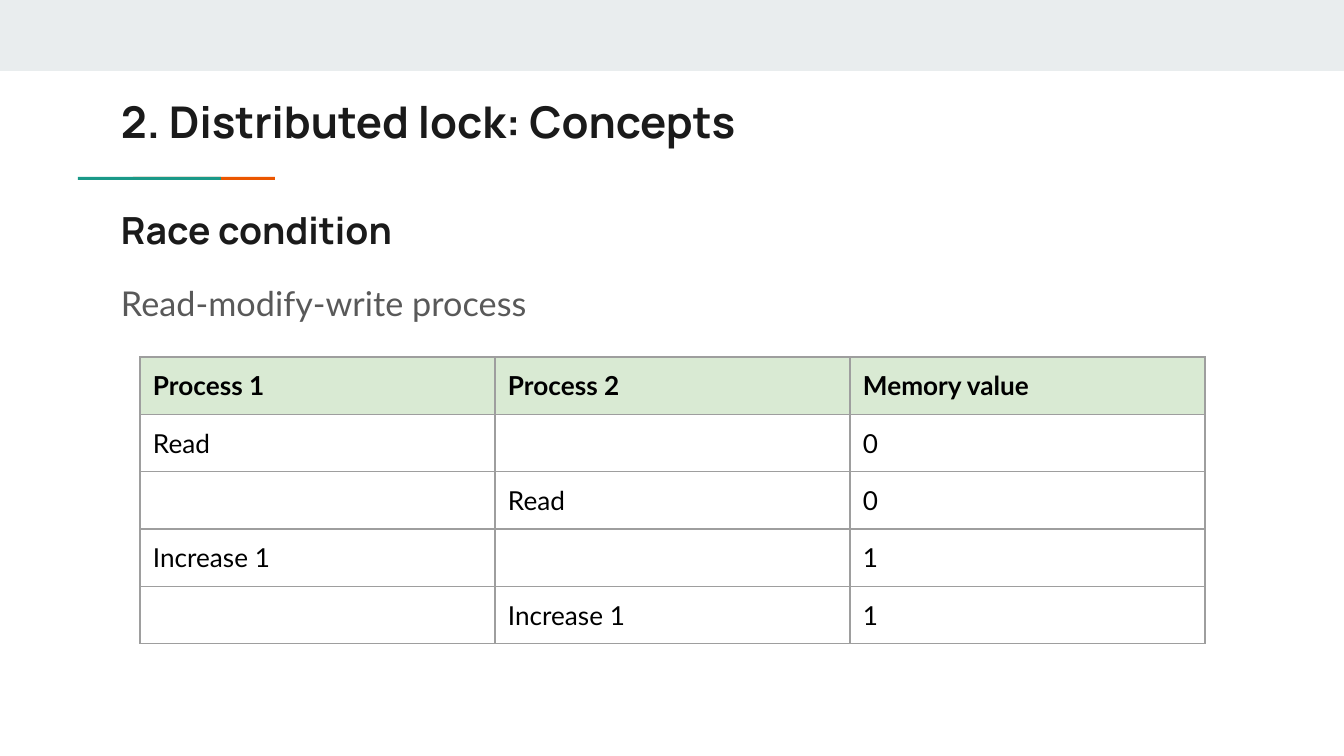
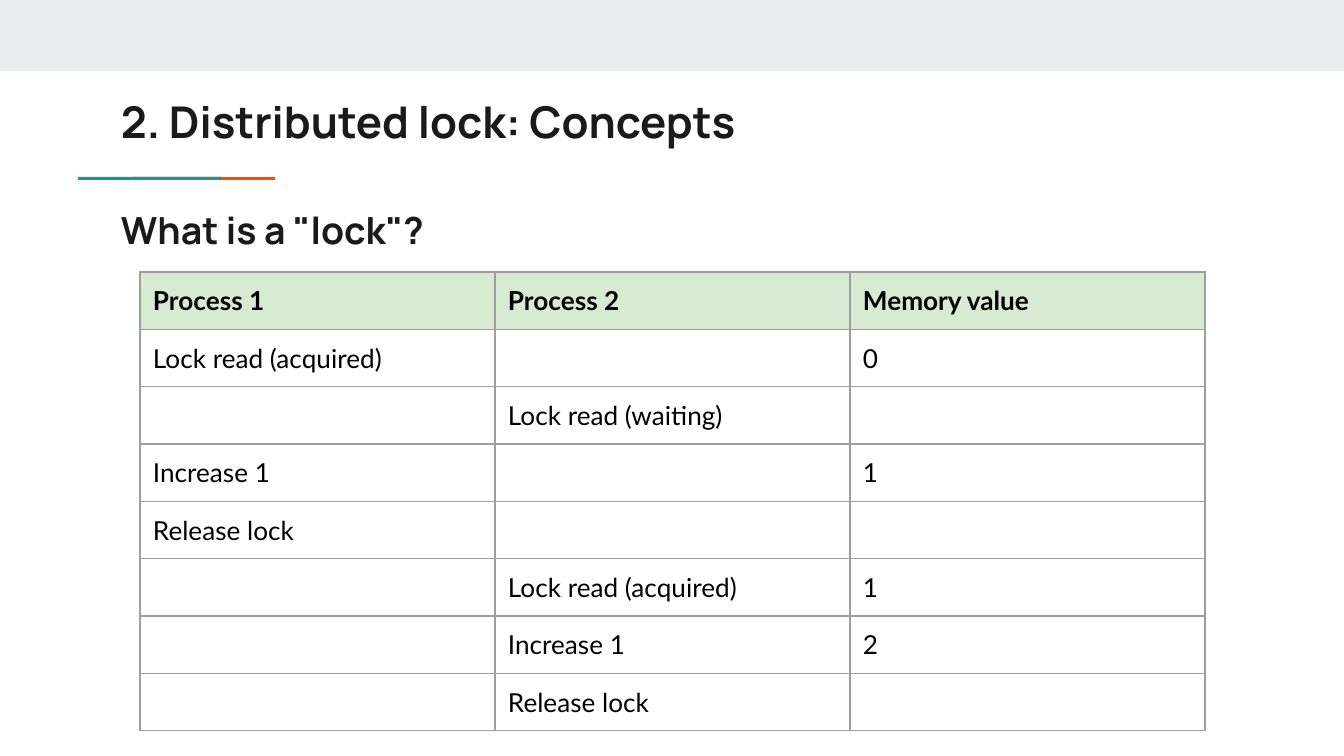
from dataclasses import dataclass
from lxml.etree import SubElement
from pptx import Presentation
from pptx.dml.color import RGBColor as Color
from pptx.enum.shapes import MSO_SHAPE as Shape
from pptx.oxml.ns import qn
from pptx.util import Pt

PX = 9144000 / 1344


@dataclass(frozen=True)
class Theme:
    band: str = "E9EDEE"
    teal: str = "1A9988"
    orange: str = "EB5600"
    header: str = "D9EAD3"
    border: str = "9E9E9E"
    title = {"name": "Manrope", "size": Pt(23.4), "bold": True, "color": "1A1A1A"}
    subtitle = {"name": "Manrope", "size": Pt(20), "bold": True, "color": "1A1A1A"}
    body = {"name": "Lato", "size": Pt(18.3), "bold": False, "color": "595959"}
    cell = {"name": "Lato", "size": Pt(14), "bold": False, "color": "000000"}


theme = Theme()


def px(*lengths):
    return [round(length * PX) for length in lengths]


def write(frame, text, style):
    para = frame.paragraphs[0]
    if not text:
        SubElement(para._p, qn("a:endParaRPr"), sz=str(int(style["size"].pt * 100)))
        return para
    span = para.add_run()
    span.text = text
    for name, value in style.items():
        if name == "color":
            span.font.color.rgb = Color.from_string(value)
        else:
            setattr(span.font, name, value)
    return para


bars = [
    (0, 0, 1344, 71, theme.band),
    (133, 177, 142, 3, theme.orange),
    (78, 177, 143, 3, theme.teal),
]
header = ("Process 1", "Process 2", "Memory value")
pages = [
    {
        "subtitle": "Race condition",
        "body": "Read-modify-write process",
        "table_top": 357,
        "rows": [
            ("Read", "", "0"),
            ("", "Read", "0"),
            ("Increase 1", "", "1"),
            ("", "Increase 1", "1"),
        ],
    },
    {
        "subtitle": "What is a \"lock\"?",
        "body": "",
        "table_top": 272,
        "rows": [
            ("Lock read (acquired)", "", "0"),
            ("", "Lock read (waiting)", ""),
            ("Increase 1", "", "1"),
            ("Release lock", "", ""),
            ("", "Lock read (acquired)", "1"),
            ("", "Increase 1", "2"),
            ("", "Release lock", ""),
        ],
    },
]
insets = dict.fromkeys(
    ("margin_left", "margin_top", "margin_right", "margin_bottom"), px(13)[0]
)
column_width, row_height = 355, 57

deck = Presentation()
deck.slide_width, deck.slide_height = px(1344, 756)

for content in pages:
    page = deck.slides.add_slide(deck.slide_layouts[6])

    for left, top, width, height, color in bars:
        bar = page.shapes.add_shape(Shape.RECTANGLE, *px(left, top, width, height))
        bar.shadow.inherit = False
        bar.fill.solid()
        bar.fill.fore_color.rgb = Color.from_string(color)
        bar.line.fill.background()

    texts = [
        (content["body"], theme.body, 263, 374),
        (content["subtitle"], theme.subtitle, 194, 79),
        ("2. Distributed lock: Concepts", theme.title, 82, 79),
    ]
    for text, style, top, height in texts:
        if not text:
            continue
        box = page.shapes.add_textbox(*px(108, top, 1130, height))
        box.text_frame.word_wrap = True
        for name, value in insets.items():
            setattr(box.text_frame, name, value)
        para = write(box.text_frame, text, style)
        if style is theme.body:
            para.line_spacing, para.space_after = 1.15, Pt(12)

    rows = [header, *content["rows"]]
    width, height = column_width * len(header), row_height * len(rows)
    table = page.shapes.add_table(
        len(rows), len(header), *px(140, content["table_top"], width, height)
    ).table
    table.first_row = table.horz_banding = False
    for row_index, row in enumerate(rows):
        for column_index, text in enumerate(row):
            cell = table.cell(row_index, column_index)
            for name, value in insets.items():
                setattr(cell, name, value)
            write(cell.text_frame, text, {**theme.cell, "bold": row is header})
            for side in ("lnL", "lnR", "lnT", "lnB"):
                edge = SubElement(
                    cell._tc.get_or_add_tcPr(), qn(f"a:{side}"), w=str(Pt(0.75))
                )
                SubElement(
                    SubElement(edge, qn("a:solidFill")),
                    qn("a:srgbClr"),
                    val=theme.border,
                )
            if row is header:
                cell.fill.solid()
                cell.fill.fore_color.rgb = Color.from_string(theme.header)
            else:
                cell.fill.background()

deck.save("out.pptx")
